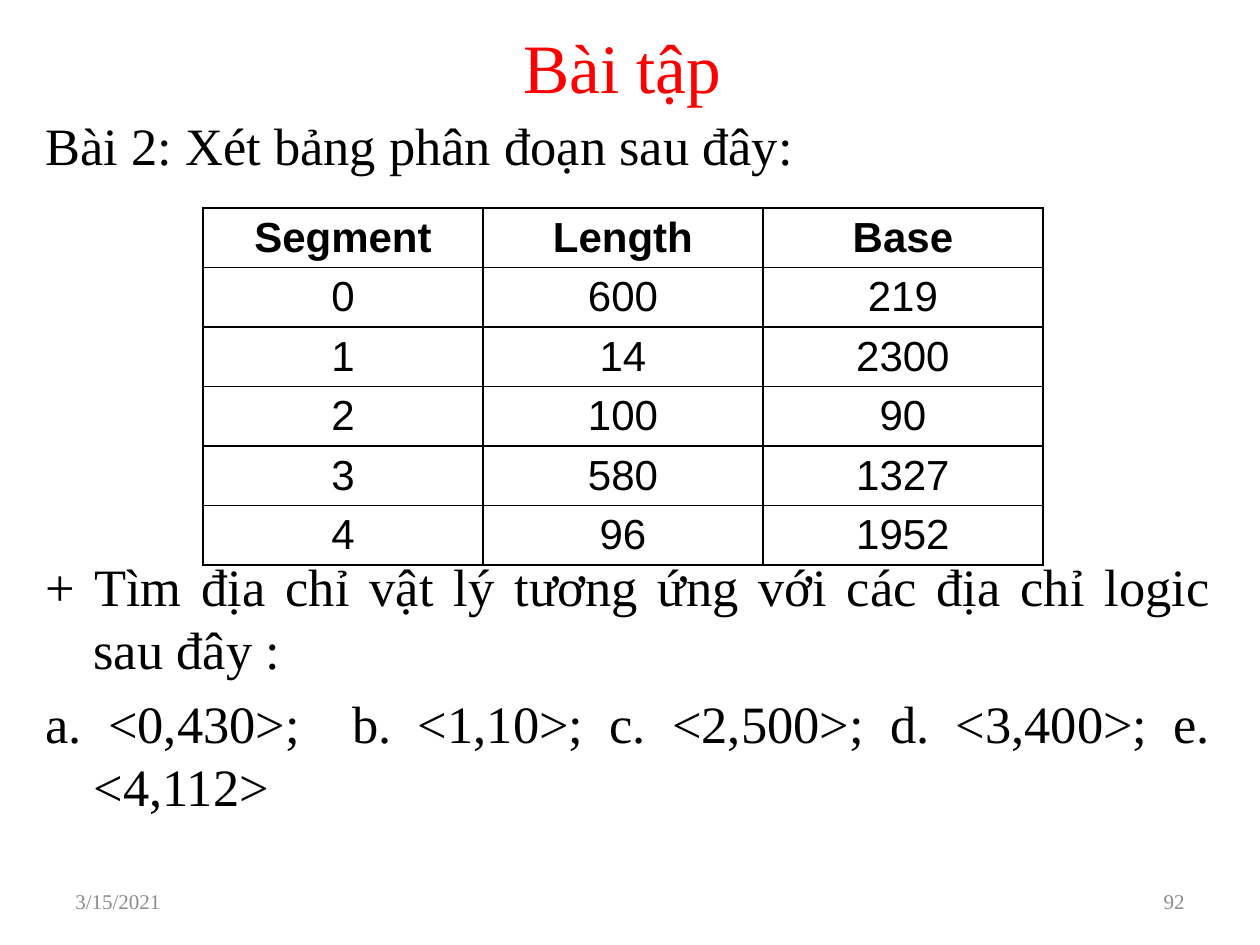
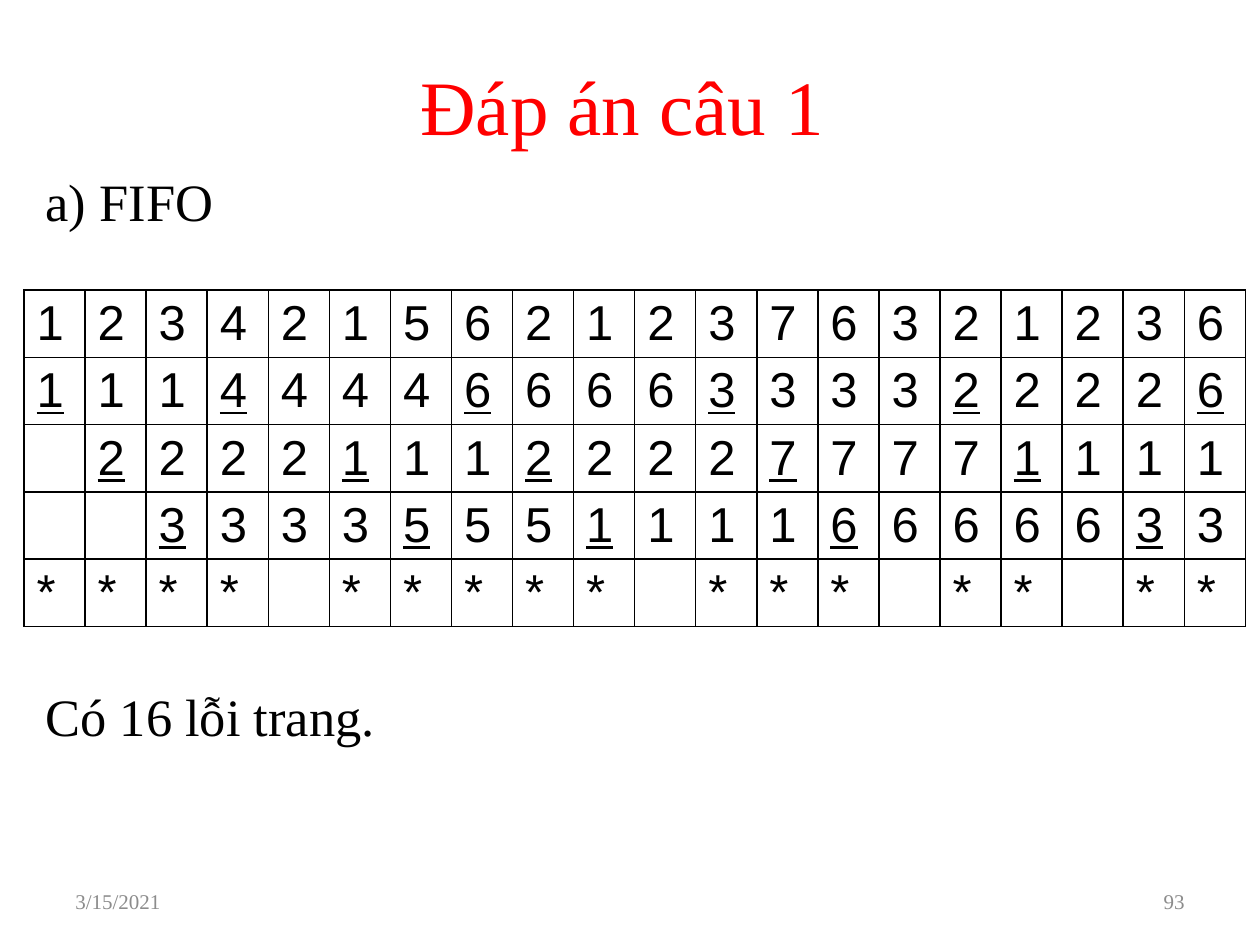
import dataclasses

import pptx
import pptx.dml.color
import pptx.enum.text
import pptx.oxml
import pptx.oxml.ns
import pptx.util

PX_PER_INCH = 126
ALIGN = pptx.enum.text.PP_ALIGN
ANCHOR = pptx.enum.text.MSO_ANCHOR


def px(count):
    return pptx.util.Emu(round(count * 914400 / PX_PER_INCH))


@dataclasses.dataclass(frozen=True)
class Theme:
    serif: str = "Times New Roman"
    sans: str = "Arial"
    red: str = "FF0000"
    black: str = "000000"
    grey: str = "8C8C8C"
    body_size: int = 30
    footer_size: int = 12
    line_height: int = 36
    para_gap: int = 6
    border_width: int = 1


class Deck:
    def __init__(self, theme):
        self.theme = theme
        self.file = pptx.Presentation()
        self.file.slide_width = px(1260)
        self.file.slide_height = px(945)
        self.page = None

    def start_page(self, number):
        self.page = self.file.slides.add_slide(self.file.slide_layouts[1])
        self.footer("3/15/2021", 63, ALIGN.LEFT)
        self.footer(str(number), 903, ALIGN.RIGHT)

    def style(self, para, face, size, color, align):
        para.alignment = align
        para.font.name = face
        para.font.size = pptx.util.Pt(size)
        para.font.color.rgb = pptx.dml.color.RGBColor.from_string(color)

    def place(self, box, left, top, width, height, anchor):
        box.left, box.top = px(left), px(top)
        box.width, box.height = px(width), px(height)
        frame = box.text_frame
        frame.word_wrap = True
        frame.auto_size = pptx.enum.text.MSO_AUTO_SIZE.NONE
        frame.vertical_anchor = anchor
        return frame

    def footer(self, text, left, align):
        box = self.page.shapes.add_textbox(0, 0, 0, 0)
        frame = self.place(box, left, 876, 294, 50, ANCHOR.MIDDLE)
        frame.text = text
        self.style(frame.paragraphs[0], self.theme.serif,
                   self.theme.footer_size, self.theme.grey, align)

    def title(self, text, top, height, size):
        frame = self.place(self.page.shapes.title, 129, top, 987, height,
                           ANCHOR.MIDDLE)
        frame.text = text
        self.style(frame.paragraphs[0], self.theme.serif, size,
                   self.theme.red, ALIGN.CENTER)

    def body(self, lines, top, height, rows_for_table):
        theme = self.theme
        frame = self.place(self.page.placeholders[1], 33, top, 1191, height,
                           ANCHOR.TOP)
        frame.text = "\n".join(lines)
        for index, para in enumerate(frame.paragraphs):
            self.style(para, theme.serif, theme.body_size, theme.black,
                       ALIGN.JUSTIFY)
            skipped = rows_for_table if index == 1 else 0
            gap = theme.para_gap + skipped * (theme.line_height + theme.para_gap)
            para.space_before = pptx.util.Pt(gap)
            para.line_spacing = pptx.util.Pt(theme.line_height)
            properties = para._p.get_or_add_pPr()
            properties.set("marL", str(px(48)))
            properties.set("indent", str(-px(48)))
            properties.append(pptx.oxml.parse_xml(
                f"<a:buNone {pptx.oxml.ns.nsdecls('a')}/>"))

    def border(self, cell):
        properties = cell._tc.get_or_add_tcPr()
        width = pptx.util.Pt(self.theme.border_width)
        for index, side in enumerate("LRTB"):
            properties.insert(index, pptx.oxml.parse_xml(
                f'<a:ln{side} {pptx.oxml.ns.nsdecls("a")} w="{width}">'
                f'<a:solidFill><a:srgbClr val="{self.theme.black}"/>'
                f'</a:solidFill></a:ln{side}>'))

    def table(self, rows, left, top, width, row_height, size, align, anchor,
              bold_header=False, underlined=()):
        frame = self.page.shapes.add_table(
            len(rows), len(rows[0]), px(left), px(top), px(width),
            px(row_height * len(rows)))
        grid = frame.table
        grid.first_row = grid.horz_banding = False
        for row, values in enumerate(rows):
            for column, value in enumerate(values):
                cell = grid.cell(row, column)
                cell.text = value
                cell.fill.background()
                cell.vertical_anchor = anchor
                self.border(cell)
                para = cell.text_frame.paragraphs[0]
                self.style(para, self.theme.sans, size, self.theme.black, align)
                if bold_header and row == 0:
                    para.font.bold = True
                if (row, column) in underlined:
                    para.font.underline = True


def fifo_rows(references, frame_count):
    frames = [""] * frame_count
    columns, loaded = [], set()
    for step, wanted in enumerate(references):
        fault = wanted not in frames
        if fault:
            victim = len(loaded) % frame_count
            frames[victim] = wanted
            loaded.add((victim + 1, step))
        columns.append([wanted, *frames, "*" if fault else ""])
    return list(zip(*columns)), loaded


def segment_page(deck):
    deck.start_page(92)
    deck.title("Bài tập", 24, 84, 39.6)
    deck.body(["Bài 2: Xét bảng phân đoạn sau đây:",
               "+ Tìm địa chỉ vật lý tương ứng với các địa chỉ logic sau đây :",
               "a. <0,430>;  b. <1,10>; c. <2,500>; d. <3,400>; e. <4,112>"],
              107, 777, rows_for_table=5)
    segments = [("600", "219"), ("14", "2300"), ("100", "90"),
                ("580", "1327"), ("96", "1952")]
    rows = [("Segment", "Length", "Base")]
    rows += [(str(number), *segment) for number, segment in enumerate(segments)]
    deck.table(rows, 203, 208, 840, 59, 24, ALIGN.CENTER, ANCHOR.TOP,
               bold_header=True)


def fifo_page(deck):
    deck.start_page(93)
    deck.title("Đáp án câu 1", 48, 113, 44)
    deck.body(["a) FIFO", "Có 16 lỗi trang."], 163, 722, rows_for_table=6)
    rows, loaded = fifo_rows("12342156212376321236", 3)
    deck.table(rows, 24, 290, 1222, 67, 28, ALIGN.LEFT, ANCHOR.MIDDLE,
               underlined=loaded)


def main():
    deck = Deck(Theme())
    segment_page(deck)
    fifo_page(deck)
    deck.file.save("out.pptx")


if __name__ == "__main__":
    main()
